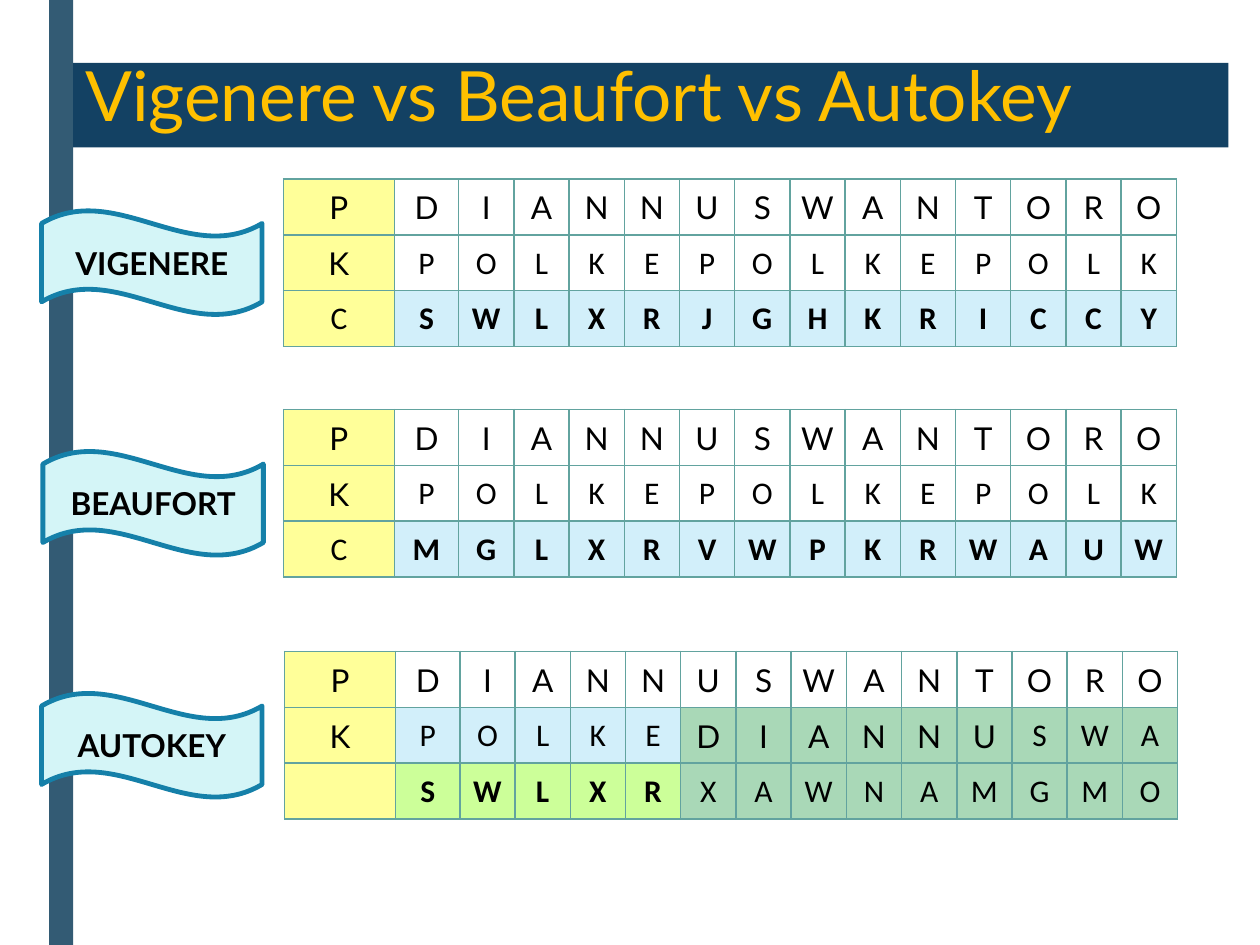
"""Build a slide that compares three cipher tables."""
from pptx import Presentation
from pptx.dml.color import RGBColor
from pptx.enum.shapes import MSO_SHAPE
from pptx.enum.text import MSO_ANCHOR, PP_ALIGN
from pptx.oxml import parse_xml
from pptx.oxml.ns import nsdecls
from pptx.util import Inches, Pt

BLACK = RGBColor(0x00, 0x00, 0x00)
WHITE = RGBColor(0xFF, 0xFF, 0xFF)
SLATE = RGBColor(0x33, 0x5B, 0x74)
NAVY = RGBColor(0x13, 0x41, 0x63)
GOLD = RGBColor(0xFF, 0xC0, 0x00)
AQUA = RGBColor(0xD4, 0xF5, 0xF7)
BLUE = RGBColor(0x15, 0x80, 0xA9)
TEAL = RGBColor(0x62, 0xA3, 0x9F)
CREAM = RGBColor(0xFF, 0xFF, 0x99)
SKY = RGBColor(0xD2, 0xEF, 0xFA)
LIME = RGBColor(0xCC, 0xFF, 0x99)
GREEN = RGBColor(0xA9, 0xD8, 0xB7)

HEAD, BODY = "Lato", "Calibri"
TITLE = "Vigenere vs Beaufort vs Autokey"
PLAIN = ("P", HEAD, [("DIANNUSWANTORO", None, HEAD, False)])
KEY = ("K", HEAD, [("POLKEPOLKEPOLK", None, BODY, False)])

CIPHERS = [
    ("VIGENERE", (0.33, 1.67), (2.25, 1.42), [
        PLAIN, KEY, ("C", BODY, [("SWLXRJGHKRICCY", SKY, BODY, True)])]),
    ("BEAUFORT", (0.34, 3.58), (2.25, 3.25), [
        PLAIN, KEY, ("C", BODY, [("MGLXRVWPKRWAUW", SKY, BODY, True)])]),
    ("AUTOKEY", (0.33, 5.5), (2.26, 5.17), [
        ("P", HEAD, [("DIAN", WHITE, HEAD, False),
                     ("NUSWANTORO", None, HEAD, False)]),
        ("K", HEAD, [("POLKE", SKY, BODY, False),
                     ("DIANNU", GREEN, HEAD, False),
                     ("SWA", GREEN, BODY, False)]),
        ("", BODY, [("SWLXR", LIME, BODY, True),
                    ("XAWNAMGMO", GREEN, BODY, False)])]),
]

WIDE, HIGH = 7.09, 1.33
FIRST = [0.88, 0.51]
REST = 13
COLS = FIRST + [(WIDE - sum(FIRST)) / REST] * REST
WAVE = (1.75, 0.83)
CELL = {"margin_left": Inches(0.01), "margin_right": Inches(0.01),
        "margin_top": Inches(0.01), "margin_bottom": 0,
        "vertical_anchor": MSO_ANCHOR.MIDDLE}
STYLE = {"first_row": False, "horz_banding": False}


def apply(thing, form):
    """Set each format value on an object."""
    for name, value in form.items():
        setattr(thing, name, value)


def paint(fill, color):
    """Fill with a colour, or with nothing."""
    if color is None:
        fill.background()
    else:
        fill.solid()
        fill.fore_color.rgb = color


def write(frame, text, face, size=18, bold=False, color=BLACK,
          align=PP_ALIGN.CENTER, space=None):
    """Write one line of formatted text."""
    para = frame.paragraphs[0]
    apply(para, {"alignment": align, "line_spacing": space})
    run = para.add_run()
    run.text = text
    apply(run.font, {"name": face, "size": Pt(size), "bold": bold})
    run.font.color.rgb = color


def draw(slide, kind, box, color, edge=None):
    """Add a flat preset shape."""
    shape = slide.shapes.add_shape(kind, *map(Inches, box))
    shape.shadow.inherit = False
    paint(shape.fill, color)
    paint(shape.line.fill, edge)
    if edge is not None:
        shape.line.width = Pt(2.75)
    return shape


def fence(cell):
    """Draw the four borders of a cell."""
    props = cell._tc.get_or_add_tcPr()
    for side in "LRTB":
        props.append(parse_xml(
            f'<a:ln{side} {nsdecls("a")} w="{Pt(1)}"><a:solidFill>'
            f'<a:srgbClr val="{TEAL}"/></a:solidFill></a:ln{side}>'))


def chart(slide, spot, rows):
    """Add one table of letters."""
    box = map(Inches, (*spot, WIDE, HIGH))
    table = slide.shapes.add_table(len(rows), len(COLS), *box).table
    apply(table, STYLE)
    for col, width in zip(table.columns, COLS):
        col.width = Inches(width)
    for line, (label, face, parts) in zip(table.rows, rows):
        line.height = Inches(HIGH / len(rows))
        looks = [(label, CREAM, face, False)]
        looks += [(sign, *look) for text, *look in parts for sign in text]
        for cell, (sign, color, font, bold) in zip(line.cells, looks):
            apply(cell, CELL)
            fence(cell)
            paint(cell.fill, color)
            if sign:
                write(cell.text_frame, sign, font, bold=bold)


def main():
    """Build and save the slide."""
    deck = Presentation()
    apply(deck, {"slide_width": Inches(10), "slide_height": Inches(7.5)})
    slide = deck.slides.add_slide(deck.slide_layouts[6])
    draw(slide, MSO_SHAPE.RECTANGLE, (0.39, 0, 0.19, 7.5), SLATE)
    band = draw(slide, MSO_SHAPE.RECTANGLE, (0.58, 0.5, 9.17, 0.67), NAVY)
    band.text_frame.vertical_anchor = MSO_ANCHOR.TOP
    write(band.text_frame, TITLE, HEAD, 39.6, color=GOLD,
          align=PP_ALIGN.LEFT, space=0.79)
    for name, flag, spot, rows in CIPHERS:
        chart(slide, spot, rows)
        wave = draw(slide, MSO_SHAPE.WAVE, (*flag, *WAVE), AQUA, BLUE)
        wave.text_frame.vertical_anchor = MSO_ANCHOR.MIDDLE
        write(wave.text_frame, name, HEAD, bold=True)
    deck.save("out.pptx")


if __name__ == "__main__":
    main()
